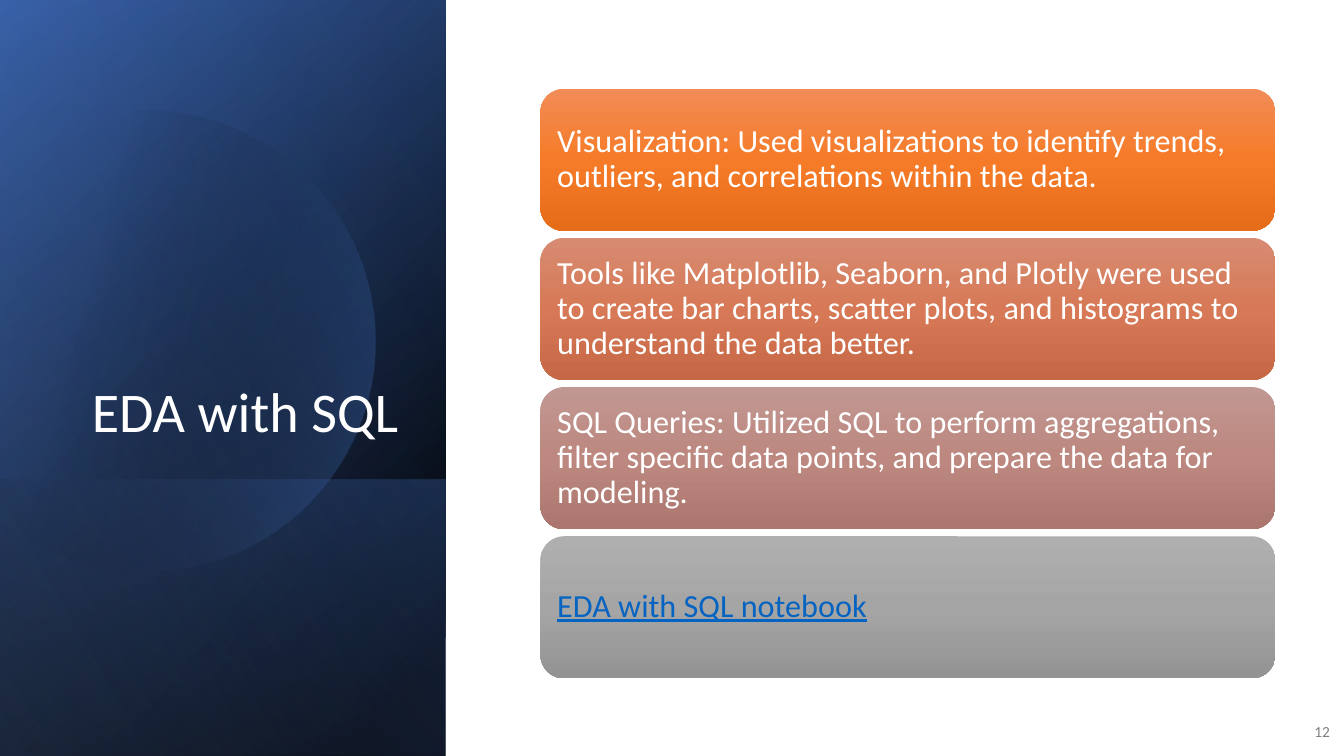
from lxml import etree
from pptx import Presentation
from pptx.dml.color import RGBColor
from pptx.enum import shapes, text
from pptx.oxml import ns
from pptx.util import Inches, Pt

TITLE = "EDA with SQL"
PAGE = "12"
CARDS = [
    ("Visualization: Used visualizations to identify trends, outliers, and correlations within the data.",
     ("F18C57", "F67B28", "E56C19"), {}),
    ("Tools like Matplotlib, Seaborn, and Plotly were used to create bar charts, scatter plots, "
     "and histograms to understand the data better.",
     ("D78B72", "D77956", "C66846"), {}),
    ("SQL Queries: Utilized SQL to perform aggregations, filter specific data points, "
     "and prepare the data for modeling.",
     ("C19791", "BC8880", "AA766E"), {}),
    ("EDA with SQL notebook",
     ("AFAFAF", "A5A5A5", "939393"), {"color": "0563C1", "underline": True}),
]
CARD_LEFT, CARD_TOP, CARD_W, CARD_H, CARD_STEP = 5.36, 0.88, 7.29, 1.41, 1.48

PANEL_W, PANEL_H = 4.42, 7.5
PANEL_BACK = [
    (0, PANEL_H, [(8, "000000", 100), (100, "2F5597", 100)], 50),
    (0, PANEL_H, [(0, "000000", 0), (99, "4472C4", 46)], 30),
    (4.76, 2.74, [(2, "4472C4", 29), (100, "000000", 30)], 130),
]
PANEL_FRONT = (0, PANEL_H, [(0, "000000", 0), (99, "8FAADC", 11)], 120)

DISC_START = (1.49, 1.1)
DISC_CURVES = [
    [(2.46, 1.12), (3.35, 1.77), (3.63, 2.75)],
    [(3.98, 3.97), (3.28, 5.23), (2.07, 5.58)],
    [(1.31, 5.8), (0.53, 5.61), (-0.03, 5.14)],
    [(-0.15, 5.03)],
    [(-0.15, 1.75)],
    [(0, 1.61)],
    [(0.23, 1.42), (0.5, 1.28), (0.8, 1.19)],
    [(1.03, 1.13), (1.26, 1.1), (1.49, 1.1)],
]
DISC_STOPS, DISC_ANGLE = [(29, "000000", 0), (100, "4472C4", 43)], 14
CURVE_STEPS = 24


def rgb(value):
    return RGBColor.from_string(value)


def set_gradient(sp, stops, angle):
    sp.shadow.inherit = False
    sp.line.fill.background()
    sp.fill.background()
    old = sp.element.spPr.find(ns.qn("a:noFill"))
    grad = etree.Element(ns.qn("a:gradFill"), rotWithShape="1")
    stop_list = etree.SubElement(grad, ns.qn("a:gsLst"))
    for position, color, opacity in stops:
        stop = etree.SubElement(stop_list, ns.qn("a:gs"), pos=str(position * 1000))
        clr = etree.SubElement(stop, ns.qn("a:srgbClr"), val=color)
        if opacity < 100:
            etree.SubElement(clr, ns.qn("a:alpha"), val=str(opacity * 1000))
    etree.SubElement(grad, ns.qn("a:lin"), ang=str(angle * 60000), scaled="0")
    old.getparent().replace(old, grad)


def set_text(sp, words, size, color="FFFFFF", anchor=text.MSO_ANCHOR.MIDDLE,
             align=text.PP_ALIGN.LEFT, spacing=0.9, underline=None):
    tf = sp.text_frame
    for name, value in {"word_wrap": True, "auto_size": text.MSO_AUTO_SIZE.NONE,
                        "vertical_anchor": anchor}.items():
        setattr(tf, name, value)
    p = tf.paragraphs[0]
    for name, value in {"alignment": align, "line_spacing": spacing}.items():
        setattr(p, name, value)
    r = p.add_run()
    r.text = words
    for name, value in {"name": "Calibri", "size": Pt(size), "underline": underline}.items():
        setattr(r.font, name, value)
    r.font.color.rgb = rgb(color)


def add_panel(s, top, height, stops, angle):
    left = (PANEL_W - height) / 2
    turned_top = top + (height - PANEL_W) / 2
    sp = s.shapes.add_shape(shapes.MSO_SHAPE.RECTANGLE, Inches(left), Inches(turned_top),
                            Inches(height), Inches(PANEL_W))
    sp.rotation = 90
    sp.element.spPr.find(ns.qn("a:xfrm")).set("flipH", "1")
    set_gradient(sp, stops, angle)


def bezier(a, b, c, d, t):
    u = 1 - t
    return tuple(u**3 * i + 3 * u * u * t * j + 3 * u * t * t * k + t**3 * m
                 for i, j, k, m in zip(a, b, c, d))


def add_disc(s):
    points = [DISC_START]
    for segment in DISC_CURVES:
        if len(segment) == 1:
            points += segment
        else:
            start = points[-1]
            points += [bezier(start, *segment, n / CURVE_STEPS) for n in range(1, CURVE_STEPS + 1)]
    emu = [(Inches(x), Inches(y)) for x, y in points]
    builder = s.shapes.build_freeform(*emu[0])
    builder.add_line_segments(emu[1:], close=True)
    set_gradient(builder.convert_to_shape(), DISC_STOPS, DISC_ANGLE)


def add_card(s, index, words, colors, style):
    sp = s.shapes.add_shape(shapes.MSO_SHAPE.ROUNDED_RECTANGLE, Inches(CARD_LEFT),
                            Inches(CARD_TOP + index * CARD_STEP), Inches(CARD_W), Inches(CARD_H))
    set_gradient(sp, [(n * 50, color, 100) for n, color in enumerate(colors)], 90)
    for side in ("left", "top", "right", "bottom"):
        setattr(sp.text_frame, "margin_" + side, Inches(0.1))
    set_text(sp, words, 23, **style)


def main():
    prs = Presentation()
    prs.slide_width, prs.slide_height = Inches(13.33), Inches(7.5)
    s = prs.slides.add_slide(prs.slide_layouts[5])

    for panel in PANEL_BACK:
        add_panel(s, *panel)
    add_disc(s)
    add_panel(s, *PANEL_FRONT)

    title = s.shapes.title
    title.element.getparent().append(title.element)
    box = {"left": 0.64, "top": 1.84, "width": 3.41, "height": 2.62}
    for name, value in box.items():
        setattr(title, name, Inches(value))
    set_text(title, TITLE, 40, anchor=text.MSO_ANCHOR.BOTTOM, align=text.PP_ALIGN.RIGHT)

    number = s.shapes.add_textbox(Inches(12.8), Inches(7.06), Inches(0.49), Inches(0.4))
    set_text(number, PAGE, 11, "808080", align=text.PP_ALIGN.RIGHT, spacing=1.0)

    for index, card in enumerate(CARDS):
        add_card(s, index, *card)
    prs.save("out.pptx")


if __name__ == "__main__":
    main()
